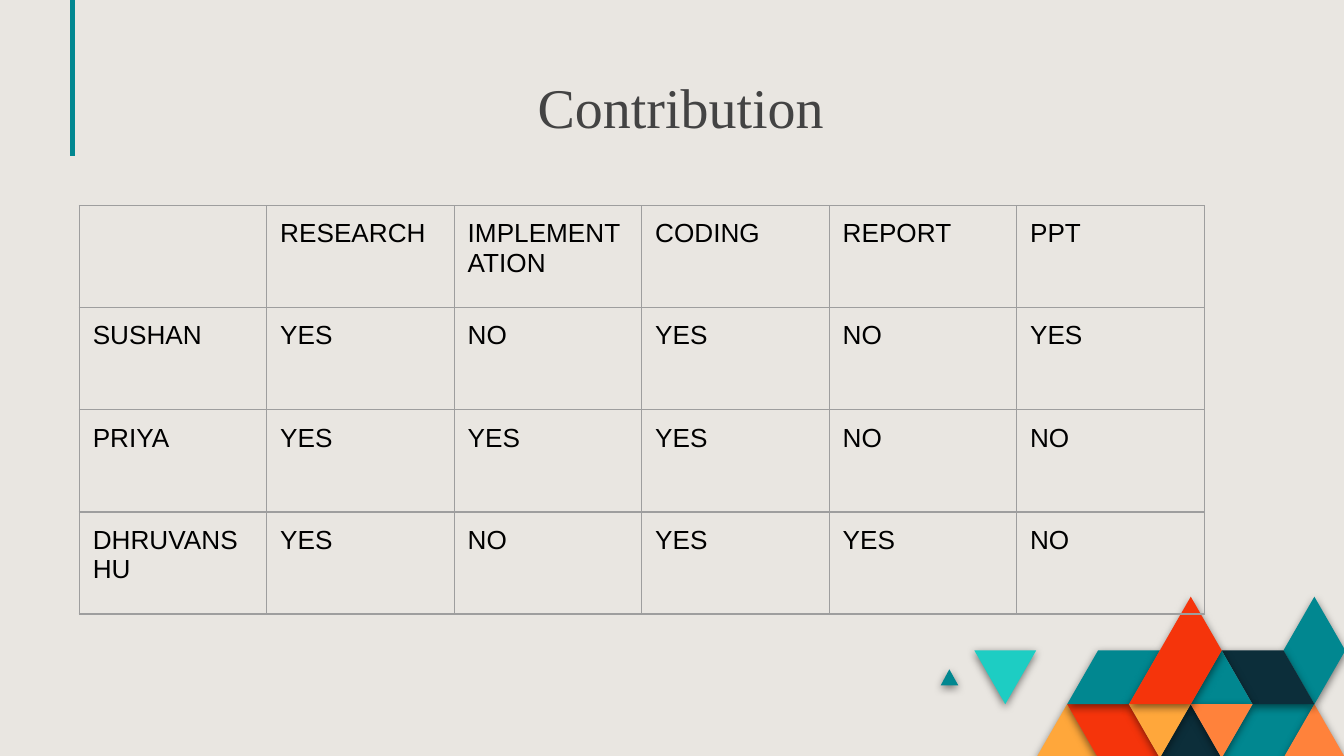
from lxml import etree
from pptx import Presentation
from pptx.dml.color import RGBColor
from pptx.enum.shapes import MSO_CONNECTOR
from pptx.enum.text import MSO_ANCHOR
from pptx.oxml import parse_xml
from pptx.oxml.ns import qn
from pptx.util import Inches, Pt

STRAIGHT = MSO_CONNECTOR.STRAIGHT
BOTTOM = MSO_ANCHOR.BOTTOM
NS = 'xmlns:a="http://schemas.openxmlformats.org/drawingml/2006/main"'

COLORS = {
    "background": "E9E6E1",
    "title": "434343",
    "text": "000000",
    "border": "9E9E9E",
    "teal": "018790",
    "aqua": "1DCDC3",
    "navy": "0C2E3A",
    "red": "F5340B",
    "orange": "FF823B",
    "amber": "FFA73B",
}


def rgb(name):
    return RGBColor.from_string(COLORS[name])


def write(tf, text, size=14, font="Arial", color="text"):
    tf.word_wrap = True
    r = tf.paragraphs[0].add_run()
    r.text = text
    r.font.size = Pt(size)
    r.font.name = font
    r.font.color.rgb = rgb(color)


# 16:9 slide
prs = Presentation()
prs.slide_width = Inches(10)
prs.slide_height = Inches(10 * 9 / 16)
s = prs.slides.add_slide(prs.slide_layouts[6])
s.background.fill.solid()
s.background.fill.fore_color.rgb = rgb("background")

# Accent line
line = s.shapes.add_connector(STRAIGHT, Inches(0.54), 0, Inches(0.54), Inches(1.16))
line.line.color.rgb = rgb("teal")
line.line.width = Pt(2.25)
etree.SubElement(line._element.spPr, qn("a:effectLst"))

# Corner mosaic: points are (column, row) on a triangular grid, back to front
GRID_X, GRID_Y = 7.71, 4.44
STEP_X, STEP_Y = 0.23, 0.4
tiles = [
    ("amber", [(0, 3), (1, 2), (2, 3)]),
    ("red", [(1, 2), (3, 2), (4, 3), (2, 3)]),
    ("teal", [(6, 3), (7, 2), (9, 2), (8, 3)]),
    ("orange", [(8, 3), (9, 2), (10, 3)]),
    ("navy", [(4, 3), (5, 2), (6, 3)]),
    ("teal", [(1, 2), (2, 1), (4, 1), (3, 2)]),
    ("teal", [(-3.09, 1.65), (-2.81, 1.35), (-2.52, 1.65)]),
    ("aqua", [(-2, 1), (0, 1), (-1, 2)]),
    ("teal", [(8, 1), (9, 0), (10, 1), (9, 2)]),
    ("navy", [(6, 1), (8, 1), (9, 2), (7, 2)]),
    ("teal", [(5, 2), (6, 1), (7, 2)]),
    ("orange", [(5, 2), (7, 2), (6, 3)]),
    ("amber", [(3, 2), (5, 2), (4, 3)]),
    ("red", [(3, 2), (5, 0), (6, 1), (5, 2)]),
]
for color, corners in tiles:
    pts = [(Inches(GRID_X + x * STEP_X), Inches(GRID_Y + y * STEP_Y)) for x, y in corners]
    builder = s.shapes.build_freeform(*pts[0])
    builder.add_line_segments(pts[1:], close=True)
    tile = builder.convert_to_shape()
    tile.fill.solid()
    tile.fill.fore_color.rgb = rgb(color)
    tile.line.fill.background()
    tile.shadow.inherit = False
    tile._element.spPr.find(qn("a:effectLst")).append(parse_xml(
        f'<a:outerShdw {NS} blurRad="{Pt(4.5)}" dist="{Pt(1.5)}" dir="5400000" '
        'algn="bl" rotWithShape="0"><a:srgbClr val="000000">'
        '<a:alpha val="50000"/></a:srgbClr></a:outerShdw>'))

# Title
tb = s.shapes.add_textbox(Inches(0.84), Inches(0.51), Inches(8.85), Inches(0.63))
tf = tb.text_frame
tf.vertical_anchor = BOTTOM
tf.margin_left = Inches(3.16)
tf.margin_right = tf.margin_top = tf.margin_bottom = Inches(0.1)
write(tf, "Contribution", size=30, font="Times New Roman", color="title")

# Contribution table
rows = [
    ["", "RESEARCH", "IMPLEMENTATION", "CODING", "REPORT", "PPT"],
    ["SUSHAN", "YES", "NO", "YES", "NO", "YES"],
    ["PRIYA", "YES", "YES", "YES", "NO", "NO"],
    ["DHRUVANSHU", "YES", "NO", "YES", "YES", "NO"],
]
table = s.shapes.add_table(len(rows), len(rows[0]), Inches(0.59), Inches(1.53),
                           Inches(8.37), Inches(3.04)).table
table.first_row = False
table.horz_banding = False
for i, row in enumerate(rows):
    for j, text in enumerate(row):
        cell = table.cell(i, j)
        cell.margin_left = cell.margin_right = Inches(0.1)
        cell.margin_top = cell.margin_bottom = Inches(0.1)
        cell.fill.background()
        if text:
            write(cell.text_frame, text)
        tcPr = cell._tc.get_or_add_tcPr()
        for k, side in enumerate(("lnL", "lnR", "lnT", "lnB")):
            tcPr.insert(k, parse_xml(
                f'<a:{side} {NS} w="{Pt(0.75)}"><a:solidFill>'
                f'<a:srgbClr val="{COLORS["border"]}"/></a:solidFill></a:{side}>'))

prs.save("out.pptx")
